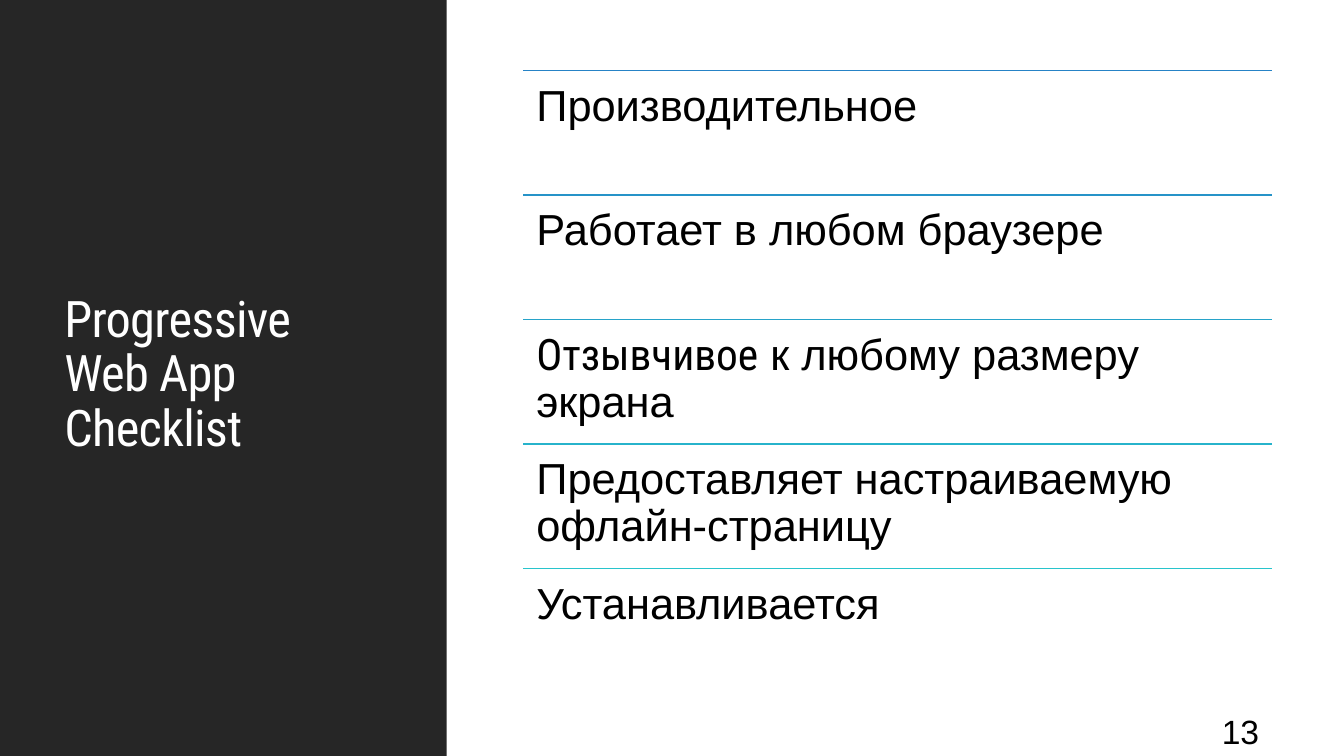
import pptx
import pptx.dml.color
import pptx.enum.shapes
import pptx.enum.text
import pptx.oxml.ns
import pptx.util
from lxml import etree

RGB = pptx.dml.color.RGBColor
DARK = RGB(0x26, 0x26, 0x26)
WHITE = RGB(0xFF, 0xFF, 0xFF)
BLACK = RGB(0, 0, 0)
RULES = [
    RGB(0x26, 0x83, 0xC6),
    RGB(0x26, 0x93, 0xC8),
    RGB(0x27, 0xA3, 0xC9),
    RGB(0x27, 0xB3, 0xCB),
    RGB(0x28, 0xC4, 0xCC),
]
SANS = "Arial"
SLIM = "Roboto Condensed"

# Each item is a list of (text, font) parts
ITEMS = [
    [("Производительное", SANS)],
    [("Работает в любом браузере", SANS)],
    [("Отзывчивое", SLIM), (" к любому размеру экрана", SANS)],
    [("Предоставляет настраиваемую офлайн-страницу", SANS)],
    [("Устанавливается", SANS)],
]


def write(para, text, font=SANS, size=31, color=BLACK, track=0):
    """Add a formatted run; track is letter spacing in points."""
    run = para.add_run()
    run.text = text
    run.font.name = font
    run.font.size = pptx.util.Pt(size)
    run.font.color.rgb = color
    if track:
        run._r.get_or_add_rPr().set("spc", str(round(track * 100)))


class Deck:
    """Style and current slide, on a grid of 100 columns by 100 rows."""

    def __init__(self):
        self.show = pptx.Presentation()
        self.show.slide_width = pptx.util.Inches(13.33)
        self.show.slide_height = pptx.util.Inches(7.5)
        self.slide = self.show.slides.add_slide(self.show.slide_layouts[6])

    def col(self, n):
        return round(self.show.slide_width * n / 100)

    def row(self, n):
        return round(self.show.slide_height * n / 100)

    def area(self, x, y, w, h):
        return self.col(x), self.row(y), self.col(w), self.row(h)

    def panel(self, x, y, w, h, color):
        box = self.slide.shapes.add_shape(
            pptx.enum.shapes.MSO_SHAPE.RECTANGLE, *self.area(x, y, w, h))
        box.shadow.inherit = False
        box.fill.solid()
        box.fill.fore_color.rgb = color
        box.line.fill.background()

    def rule(self, x, y, w, color):
        line = self.slide.shapes.add_connector(
            pptx.enum.shapes.MSO_CONNECTOR.STRAIGHT,
            self.col(x), self.row(y), self.col(x + w), self.row(y))
        line.line.color.rgb = color
        line.line.width = pptx.util.Pt(1.25)
        etree.SubElement(line._element.spPr, pptx.oxml.ns.qn("a:effectLst"))

    def text(self, x, y, w, h, parts, middle=False, inset=None, lead=None,
             **style):
        frame = self.slide.shapes.add_textbox(*self.area(x, y, w, h)).text_frame
        frame.word_wrap = True
        anchor = pptx.enum.text.MSO_ANCHOR
        frame.vertical_anchor = anchor.MIDDLE if middle else anchor.TOP
        if inset is not None:
            gap = pptx.util.Inches(inset)
            frame.margin_left = frame.margin_right = gap
            frame.margin_top = frame.margin_bottom = gap
        para = frame.paragraphs[0]
        if lead:
            para.line_spacing = lead
        for words, font in parts:
            write(para, words, font=font, **style)


def main():
    deck = Deck()

    # Side panel with title
    deck.panel(0, 0, 33.23, 100, DARK)
    deck.text(4.05, 7.6, 25.28, 84.13, [("Progressive Web App Checklist", SLIM)],
              middle=True, lead=0.9, size=36, color=WHITE, track=-0.5)

    # Checklist: a rule above each item
    left, top, wide, step = 38.93, 9.33, 55.74, 16.47
    for i, (parts, color) in enumerate(zip(ITEMS, RULES)):
        y = top + i * step
        deck.rule(left, y, wide, color)
        deck.text(left, y, wide, step, parts, inset=0.13, lead=0.9)

    # Page number
    deck.text(90.17, 94, 6.38, 5.33, [("13", SANS)], middle=True, size=24)

    deck.show.save("out.pptx")


if __name__ == "__main__":
    main()
